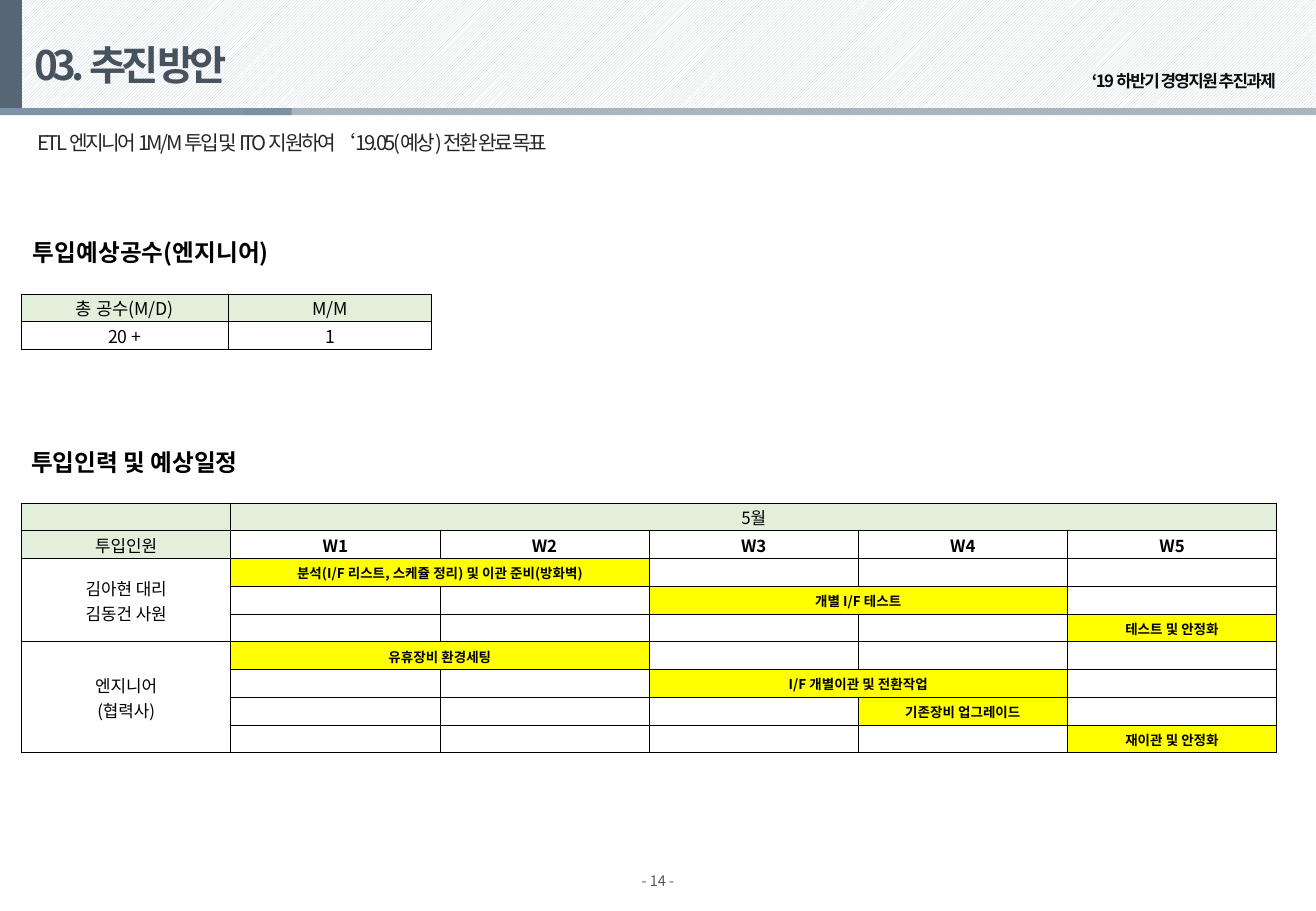
import pptx
import pptx.util
import pptx.dml.color
import pptx.enum.dml
import pptx.enum.shapes
import pptx.enum.text
import pptx.oxml.ns
import lxml.etree
from collections import namedtuple

Cm = pptx.util.Cm
Pt = pptx.util.Pt
RGBColor = pptx.dml.color.RGBColor
ALIGN = pptx.enum.text.PP_ALIGN
MIDDLE = pptx.enum.text.MSO_ANCHOR.MIDDLE
TOP = pptx.enum.text.MSO_ANCHOR.TOP
qn = pptx.oxml.ns.qn
Box = namedtuple("Box", "left top width height")

FONT = "Noto Sans CJK KR"
WHITE = RGBColor(0xFF, 0xFF, 0xFF)
BLACK = RGBColor(0, 0, 0)
HATCH = RGBColor(0xBC, 0xC8, 0xD6)
RULE_GRAY = RGBColor(0xA1, 0xAD, 0xB9)
RULE_BLUE = RGBColor(0x77, 0x8E, 0xA5)
SLATE = RGBColor(0x44, 0x55, 0x66)
TITLE_SLATE = RGBColor(0x46, 0x52, 0x5E)
SUBJECT_INK = RGBColor(0x0D, 0x0D, 0x0D)
LEAD_INK = RGBColor(0x26, 0x26, 0x26)
PAGE_GRAY = RGBColor(0x59, 0x59, 0x59)
GREEN = RGBColor(0xE2, 0xEF, 0xDA)
YELLOW = RGBColor(0xFF, 0xFF, 0x00)

BORDER = Pt(0.5)
ROW_HEIGHT = 0.58
EFFORT = [["총 공수(M/D)", "M/M"], ["20 +", "1"]]
WEEKS = ["W1", "W2", "W3", "W4", "W5"]
CREW = [(2, 4, ["김아현 대리", "김동건 사원"]), (5, 8, ["엔지니어", "(협력사)"])]
TASKS = [
    (2, 1, 2, "분석(I/F 리스트, 스케쥴 정리) 및 이관 준비(방화벽)"),
    (3, 3, 4, "개별 I/F 테스트"),
    (4, 5, 5, "테스트 및 안정화"),
    (5, 1, 2, "유휴장비 환경세팅"),
    (6, 3, 4, "I/F 개별이관 및 전환작업"),
    (7, 4, 4, "기존장비 업그레이드"),
    (8, 5, 5, "재이관 및 안정화"),
]


def set_all(target, values):
    for name, value in values.items():
        setattr(target, name, value)


def lengths(box):
    return {name: Cm(value) for name, value in box._asdict().items()}


def write(frame, lines, size, color=BLACK, bold=False, spacing=0, **paragraph_format):
    for index, line in enumerate(lines):
        paragraph = frame.add_paragraph() if index else frame.paragraphs[0]
        set_all(paragraph, paragraph_format)
        run = paragraph.add_run()
        run.text = line
        set_all(run.font, {"name": FONT, "size": Pt(size), "bold": bold})
        run.font.color.rgb = color
        properties = run.font._element
        lxml.etree.SubElement(properties, qn("a:ea"), typeface=FONT)
        if spacing:
            properties.set("spc", str(round(spacing * 100)))


def add_label(slide, box, text, size, anchor=TOP, inset=0.25, **style):
    frame = slide.shapes.add_textbox(**lengths(box)).text_frame
    set_all(frame, {"word_wrap": True, "vertical_anchor": anchor,
                    "margin_left": Cm(inset), "margin_right": Cm(inset)})
    write(frame, [text], size, **style)


def add_bar(slide, box, color=None, opacity=100):
    bar = slide.shapes.add_shape(pptx.enum.shapes.MSO_SHAPE.RECTANGLE, **lengths(box))
    bar.shadow.inherit = False
    bar.line.fill.background()
    if color is None:
        bar.fill.patterned()
        bar.fill.pattern = pptx.enum.dml.MSO_PATTERN.LIGHT_UPWARD_DIAGONAL
        bar.fill.fore_color.rgb = HATCH
        bar.fill.back_color.rgb = WHITE
        return
    bar.fill.solid()
    bar.fill.fore_color.rgb = color
    tint = bar._element.spPr.find(qn("a:solidFill"))[0]
    lxml.etree.SubElement(tint, qn("a:alpha"), val=str(opacity * 1000))


def add_header(slide, box):
    left, top, width, height = box
    rule_top, rule_height = top + height - 0.13, 0.15
    add_bar(slide, box)
    add_bar(slide, Box(left + 5.11, rule_top, width - 5.11, rule_height), RULE_GRAY, 89)
    add_bar(slide, Box(left, rule_top, 6.1, rule_height), RULE_BLUE, 94)
    add_bar(slide, Box(left, top, 0.46, height - 0.13), SLATE, 89)
    add_label(slide, Box(left + width - 6.63, top + 1.35, 5.79, 0.69),
              "‘19 하반기 경영지원 추진과제", 10, MIDDLE, 0, color=SUBJECT_INK,
              bold=True, spacing=-0.9, alignment=ALIGN.RIGHT)
    title = slide.shapes.title
    set_all(title, lengths(Box(left + 0.46, top + 0.46, 19.76, 1.9)))
    set_all(title.text_frame, {"vertical_anchor": MIDDLE, "word_wrap": True})
    write(title.text_frame, ["03. 추진 방안"], 24, TITLE_SLATE, True, -3,
          alignment=ALIGN.LEFT, line_spacing=0.9)
    slide.shapes._spTree.append(title._element)


def fill_cell(cell, color):
    cell.fill.solid()
    cell.fill.fore_color.rgb = color


def add_grid(slide, box, widths, row_count, inset):
    table = slide.shapes.add_table(row_count, len(widths), **lengths(box)).table
    set_all(table, {"first_row": False, "horz_banding": False})
    for column, width in zip(table.columns, widths):
        column.width = Cm(width)
    for row in table.rows:
        row.height = Cm(box.height / row_count)
    for cell in table.iter_cells():
        set_all(cell, {"margin_left": Cm(inset), "margin_right": Cm(inset),
                       "margin_top": Cm(inset), "margin_bottom": 0,
                       "vertical_anchor": MIDDLE})
        fill_cell(cell, WHITE)
        properties = cell._tc.get_or_add_tcPr()
        for index, side in enumerate(("a:lnL", "a:lnR", "a:lnT", "a:lnB")):
            edge = lxml.etree.Element(qn(side), w=str(BORDER))
            ink = lxml.etree.SubElement(edge, qn("a:solidFill"))
            lxml.etree.SubElement(ink, qn("a:srgbClr"), val=str(BLACK))
            properties.insert(index, edge)
        lxml.etree.SubElement(cell.text_frame.paragraphs[0]._p,
                              qn("a:endParaRPr"), sz="800")
    return table


def write_cell(cell, lines, size, color=WHITE, bold=False):
    fill_cell(cell, color)
    write(cell.text_frame, lines, size, bold=bold, alignment=ALIGN.CENTER)


def add_effort(slide, box):
    add_label(slide, Box(box.left, box.top, 5.92, 0.86), "투입예상공수(엔지니어)", 14, bold=True)
    grid = Box(box.left, box.top + 1.3, box.width, 2 * ROW_HEIGHT)
    table = add_grid(slide, grid, [4.34, box.width - 4.34], 2, 0)
    for row, texts in enumerate(EFFORT):
        for column, text in enumerate(texts):
            write_cell(table.cell(row, column), [text], 10.5, WHITE if row else GREEN)


def add_schedule(slide, box):
    add_label(slide, Box(box.left - 0.05, box.top, 14.73, 0.86), "투입인력 및 예상일정", 14, bold=True)
    grid = Box(box.left, box.top + 1.27, box.width, 9 * ROW_HEIGHT)
    table = add_grid(slide, grid, [box.width / 6] * 6, 9, 0.02)
    fill_cell(table.cell(0, 0), GREEN)
    table.cell(0, 1).merge(table.cell(0, 5))
    write_cell(table.cell(0, 1), ["5월"], 10, GREEN)
    write_cell(table.cell(1, 0), ["투입인원"], 10, GREEN)
    for column, week in enumerate(WEEKS, 1):
        write_cell(table.cell(1, column), [week], 10, bold=True)
    for first, last, people in CREW:
        table.cell(first, 0).merge(table.cell(last, 0))
        write_cell(table.cell(first, 0), people, 10)
    for row, start, end, task in TASKS:
        if end > start:
            table.cell(row, start).merge(table.cell(row, end))
        write_cell(table.cell(row, start), [task], 8, YELLOW, True)


def main():
    deck = pptx.Presentation()
    set_all(deck, {"slide_width": Cm(27.51), "slide_height": Cm(19.05)})
    slide = deck.slides.add_slide(deck.slide_layouts[5])
    add_header(slide, Box(0, 0, 27.51, 2.39))
    add_label(slide, Box(0.53, 2.59, 26.16, 1.65),
              "ETL 엔지니어 1M/M 투입 및 ITO 지원하여 ‘19.05(예상) 전환 완료 목표",
              12, color=LEAD_INK, spacing=-1.5, space_before=Pt(10))
    add_effort(slide, Box(0.44, 4.85, 8.58, 2.46))
    add_schedule(slide, Box(0.45, 9.25, 26.24, 6.49))
    add_label(slide, Box(12.75, 18.11, 2.01, 0.71), "- 14 -", 8.6,
              color=PAGE_GRAY, alignment=ALIGN.CENTER)
    deck.save("out.pptx")


if __name__ == "__main__":
    main()
